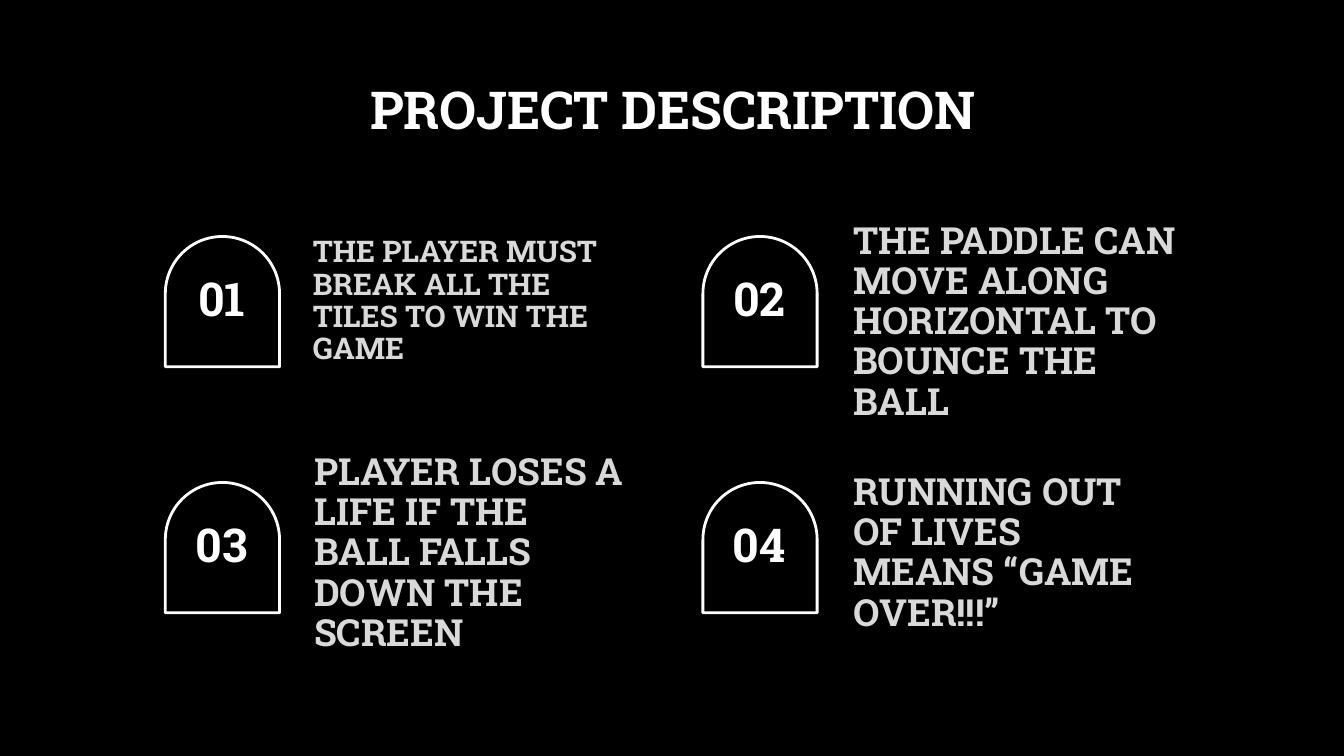
from dataclasses import dataclass

from pptx import Presentation
from pptx.dml.color import RGBColor
from pptx.enum.shapes import MSO_SHAPE
from pptx.enum.text import MSO_ANCHOR, MSO_AUTO_SIZE, PP_ALIGN
from pptx.util import Inches, Pt

ARCH = MSO_SHAPE.ROUND_2_SAME_RECTANGLE
MIDDLE = MSO_ANCHOR.MIDDLE
NO_AUTOFIT = MSO_AUTO_SIZE.NONE
LEFT, CENTER = PP_ALIGN.LEFT, PP_ALIGN.CENTER
TITLE_ONLY = 5


@dataclass(frozen=True)
class Theme:
    font: str = "Roboto Slab"
    background: RGBColor = RGBColor(0, 0, 0)
    strong: RGBColor = RGBColor(0xFF, 0xFF, 0xFF)
    soft: RGBColor = RGBColor(0xD9, 0xD9, 0xD9)
    title_size: int = 28
    number_size: int = 25
    rule_size: int = 20
    small_rule_size: int = 16
    outline: float = 1.5


THEME = Theme()

# Grid of rules: column lefts and row tops, in inches
COLUMNS = (1.23, 5.23)
ROWS = (1.76, 3.59)
BADGE_SIZE = (0.85, 0.97)

# Wording, type size, then the text's left offset, width and height
RULES = (
    ("THE PLAYER MUST BREAK ALL THE TILES TO WIN THE GAME",
     THEME.small_rule_size, 1.0, 2.54, 0.97),
    ("THE PADDLE CAN MOVE ALONG HORIZONTAL TO BOUNCE THE BALL",
     THEME.rule_size, 1.02, 2.73, 1.28),
    ("PLAYER LOSES A LIFE IF THE BALL FALLS DOWN THE SCREEN",
     THEME.rule_size, 1.01, 2.54, 1.06),
    ("RUNNING OUT OF LIVES MEANS “GAME OVER!!!”",
     THEME.rule_size, 1.02, 2.54, 1.06),
)


def write(frame, wording, size, color, align):
    """Fill a text frame with one bold paragraph, centred vertically."""
    frame_format = {"word_wrap": True, "auto_size": NO_AUTOFIT,
                    "vertical_anchor": MIDDLE}
    for side in ("left", "top", "right", "bottom"):
        frame_format[f"margin_{side}"] = Inches(0.1)
    for name, value in frame_format.items():
        setattr(frame, name, value)

    paragraph = frame.paragraphs[0]
    paragraph_format = {"alignment": align, "line_spacing": 0.9,
                        "space_before": Pt(0), "space_after": Pt(0)}
    for name, value in paragraph_format.items():
        setattr(paragraph, name, value)

    run = paragraph.add_run()
    run.text = wording
    font_format = {"name": THEME.font, "size": Pt(size), "bold": True}
    for name, value in font_format.items():
        setattr(run.font, name, value)
    run.font.color.rgb = color


def add_heading(slide, left, top, width, height):
    """Move the title placeholder into its box and fill it."""
    heading = slide.shapes.title
    box = {"left": left, "top": top, "width": width, "height": height}
    for name, value in box.items():
        setattr(heading, name, Inches(value))
    write(heading.text_frame, "PROJECT DESCRIPTION",
          THEME.title_size, THEME.strong, CENTER)


def add_badge(slide, left, top, width, height, number):
    """Draw an outlined arch with a two-digit number inside."""
    arch = slide.shapes.add_shape(
        ARCH, *map(Inches, (left, top, width, height)))
    arch.adjustments[0] = 0.5
    arch.adjustments[1] = 0
    arch.shadow.inherit = False
    arch.fill.background()
    arch.line.color.rgb = THEME.strong
    arch.line.width = Pt(THEME.outline)

    label = slide.shapes.add_textbox(
        *map(Inches, (left + 0.02, top + 0.28, width - 0.05, 0.4)))
    write(label.text_frame, f"{number:02}",
          THEME.number_size, THEME.strong, CENTER)


def add_rule(slide, left, top, width, height, wording, size):
    """Place the wording of one game rule."""
    rule = slide.shapes.add_textbox(
        *map(Inches, (left, top, width, height)))
    write(rule.text_frame, wording, size, THEME.soft, LEFT)


def main():
    deck = Presentation()
    deck.slide_width = Inches(10)
    deck.slide_height = deck.slide_width * 9 // 16
    slide = deck.slides.add_slide(deck.slide_layouts[TITLE_ONLY])
    slide.background.fill.solid()
    slide.background.fill.fore_color.rgb = THEME.background

    add_heading(slide, 0.79, 0.59, 8.43, 0.5)

    # Numbered rules, row by row
    for index, (wording, size, offset, width, height) in enumerate(RULES):
        row, column = divmod(index, len(COLUMNS))
        left, top = COLUMNS[column], ROWS[row]
        add_badge(slide, left, top, *BADGE_SIZE, index + 1)
        add_rule(slide, left + offset, top, width, height, wording, size)

    deck.save("out.pptx")


if __name__ == "__main__":
    main()
